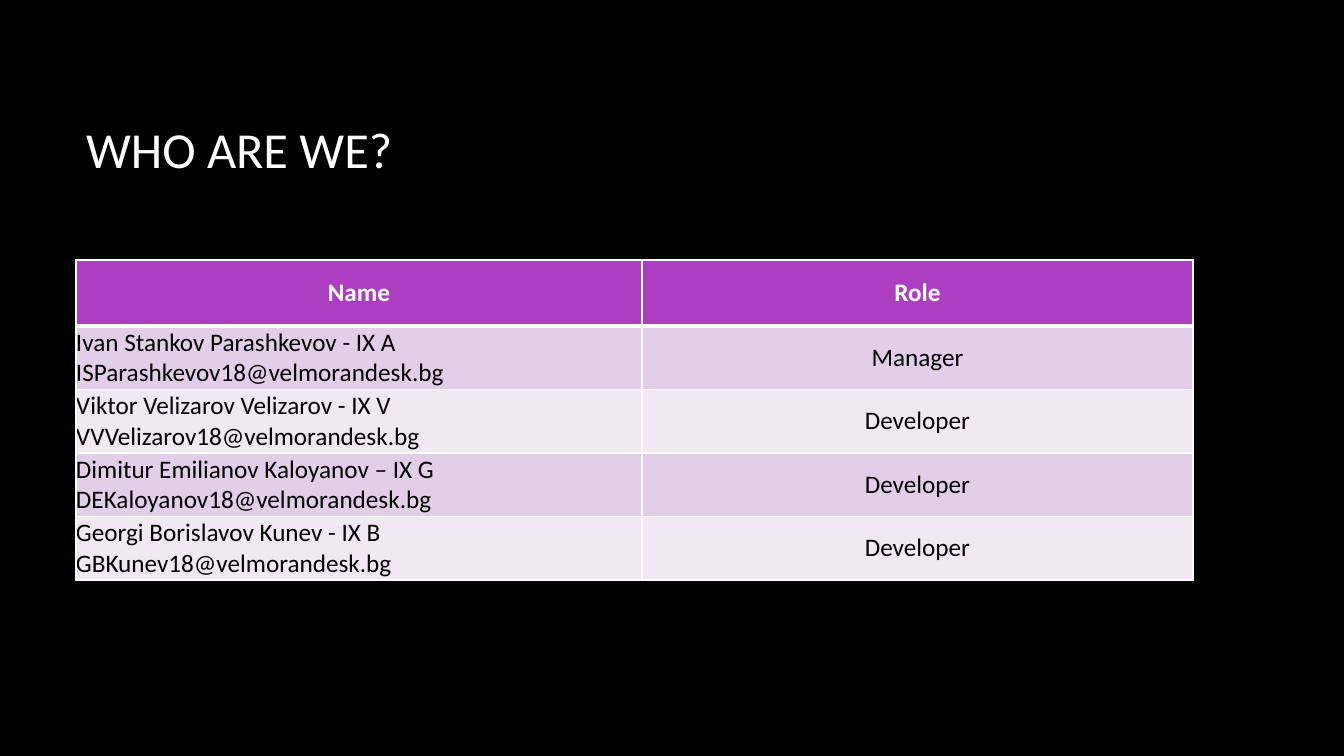
import dataclasses

import pptx
import pptx.dml.color
import pptx.enum.text
import pptx.oxml
import pptx.oxml.ns
import pptx.util

ALIGN = pptx.enum.text.PP_ALIGN
MIDDLE = pptx.enum.text.MSO_ANCHOR.MIDDLE
WIDE, HIGH = 1344, 756
SCALE = 12192000 / WIDE


@dataclasses.dataclass(frozen=True)
class Theme:
    font: str = "Calibri"
    back: str = "000000"
    light: str = "FFFFFF"
    dark: str = "000000"
    head: str = "AC3EC1"
    bands: tuple = ("E3CEE9", "F1E8F4")
    title: int = 36
    body: int = 18
    thin: int = 1
    thick: int = 3


THEME = Theme()
HEADS = ("Name", "Role")
TEAM = (
    ("Ivan Stankov Parashkevov - IX A", "ISParashkevov18", "Manager"),
    ("Viktor Velizarov Velizarov - IX V", "VVVelizarov18", "Developer"),
    ("Dimitur Emilianov Kaloyanov – IX G", "DEKaloyanov18", "Developer"),
    ("Georgi Borislavov Kunev - IX B", "GBKunev18", "Developer"),
)
DOMAIN = "velmorandesk.bg"


def px(count):
    return pptx.util.Emu(round(count * SCALE))


def tint(code):
    return pptx.dml.color.RGBColor.from_string(code)


def style(frame, size, color, align, bold=False):
    for para in frame.paragraphs:
        para.alignment = align
        para.font.name = THEME.font
        para.font.size = pptx.util.Pt(size)
        para.font.bold = bold
        para.font.color.rgb = tint(color)


def border(cell, widths):
    props = cell._tc.get_or_add_tcPr()
    for spot, (side, width) in enumerate(zip("LRTB", widths)):
        line = pptx.oxml.parse_xml(
            f'<a:ln{side} {pptx.oxml.ns.nsdecls("a")} w="{pptx.util.Pt(width)}">'
            f'<a:solidFill><a:srgbClr val="{THEME.light}"/></a:solidFill>'
            f'</a:ln{side}>'
        )
        props.insert(spot, line)


def draw_title(slide, box, text):
    title = slide.shapes.title
    title.left, title.top, title.width, title.height = map(px, box)
    frame = title.text_frame
    frame.text = text
    frame.word_wrap = True
    frame.auto_size = pptx.enum.text.MSO_AUTO_SIZE.NONE
    frame.vertical_anchor = MIDDLE
    style(frame, THEME.title, THEME.light, ALIGN.LEFT)


def draw_cell(cell, text, fill, color, align, bold, widths):
    cell.text = text
    cell.vertical_anchor = MIDDLE
    cell.margin_left = cell.margin_right = 0
    cell.margin_top = cell.margin_bottom = 0
    cell.fill.solid()
    cell.fill.fore_color.rgb = tint(fill)
    style(cell.text_frame, THEME.body, color, align, bold)
    border(cell, widths)


def draw_team(slide, box, first, head):
    left, top, width, height = box
    rows = [HEADS] + [(f"{name}\n{user}@{DOMAIN}", role) for name, user, role in TEAM]
    grid = slide.shapes.add_table(len(rows), len(HEADS), *map(px, box)).table
    grid.horz_banding = False
    for column, size in zip(grid.columns, (first, width - first)):
        column.width = px(size)
    for index, texts in enumerate(rows):
        top_row = index == 0
        grid.rows[index].height = px(head if top_row else (height - head) / len(TEAM))
        fill = THEME.head if top_row else THEME.bands[(index - 1) % 2]
        color = THEME.light if top_row else THEME.dark
        above = THEME.thick if index == 1 else THEME.thin
        below = THEME.thick if top_row else THEME.thin
        for place, text in enumerate(texts):
            align = ALIGN.CENTER if top_row or place else ALIGN.LEFT
            draw_cell(grid.cell(index, place), text, fill, color, align, top_row,
                      (THEME.thin, THEME.thin, above, below))


def main():
    deck = pptx.Presentation()
    deck.slide_width, deck.slide_height = px(WIDE), px(HIGH)
    slide = deck.slides.add_slide(deck.slide_layouts[5])
    slide.background.fill.solid()
    slide.background.fill.fore_color.rgb = tint(THEME.back)
    draw_title(slide, (76, 68, 1117, 160), "WHO ARE WE?")
    draw_team(slide, (76, 260, 1117, 320), 566, 66)
    deck.save("out.pptx")


if __name__ == "__main__":
    main()
